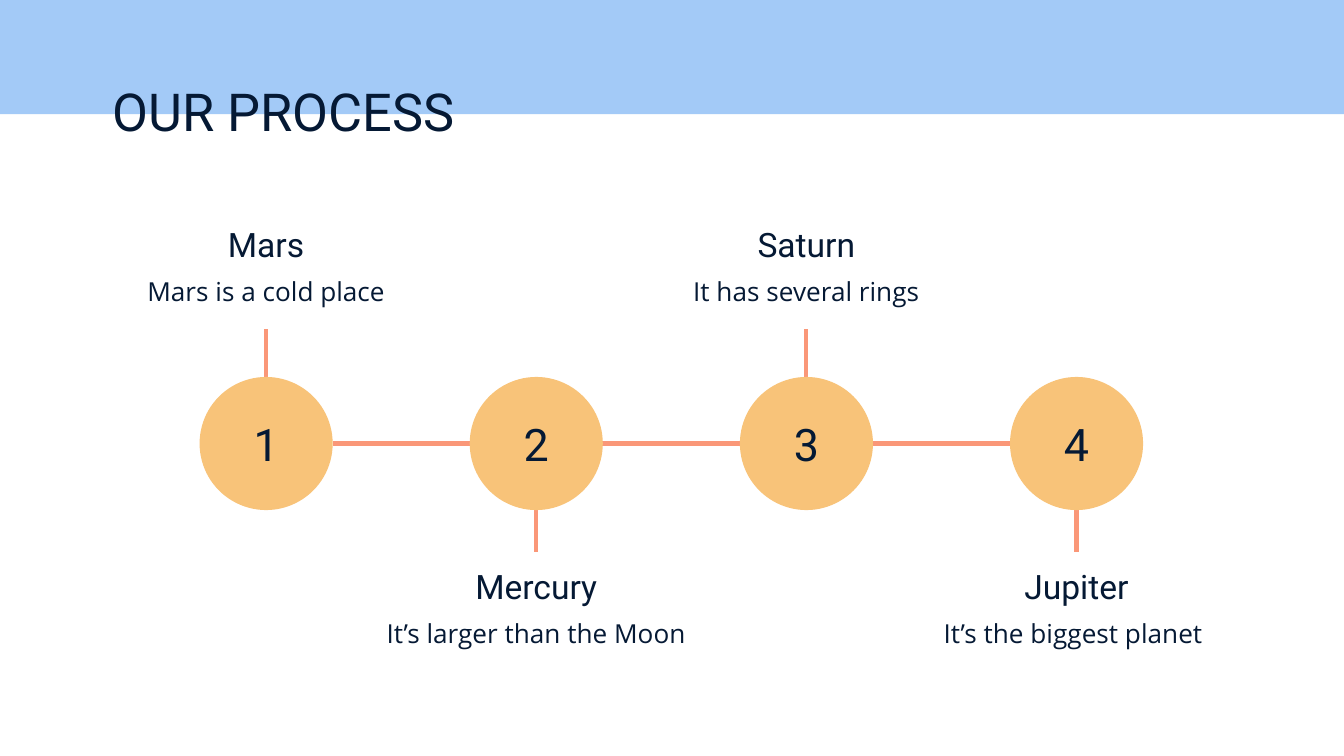
"""Build a slide with a four-step process of planets along a line."""
import dataclasses

import lxml.etree
import pptx
import pptx.dml.color
import pptx.enum.shapes
import pptx.enum.text
import pptx.oxml.ns
import pptx.util


@dataclasses.dataclass(frozen=True)
class Theme:
    ink: str = "051934"
    sky: str = "A3CAF7"
    line: str = "FA9778"
    circle: str = "F8C379"
    heading_font: str = "Roboto"
    body_font: str = "Open Sans"
    title_size: int = 28
    number_size: int = 24
    heading_size: int = 18
    body_size: int = 14
    line_width: float = 2.25


theme = Theme()
color = pptx.dml.color.RGBColor.from_string
inches = pptx.util.Inches
align = pptx.enum.text.PP_ALIGN
anchor = pptx.enum.text.MSO_ANCHOR


def write(shape, text, font, size, alignment=align.CENTER, vertical=anchor.TOP):
    frame = shape.text_frame
    frame.word_wrap = True
    frame.auto_size = pptx.enum.text.MSO_AUTO_SIZE.NONE
    frame.vertical_anchor = vertical
    frame.margin_left = frame.margin_right = inches(0.1)
    frame.margin_top = frame.margin_bottom = inches(0.1)
    frame.text = text
    para = frame.paragraphs[0]
    para.alignment = alignment
    para.font.name = font
    para.font.size = pptx.util.Pt(size)
    para.font.color.rgb = color(theme.ink)


def draw_line(page, *ends):
    line = page.shapes.add_connector(
        pptx.enum.shapes.MSO_CONNECTOR.STRAIGHT, *[inches(end) for end in ends]
    )
    line.line.color.rgb = color(theme.line)
    line.line.width = pptx.util.Pt(theme.line_width)
    properties = line.element.find(pptx.oxml.ns.qn("p:spPr"))
    lxml.etree.SubElement(properties, pptx.oxml.ns.qn("a:effectLst"))


deck = pptx.Presentation()
deck.slide_width = inches(10)
deck.slide_height = deck.slide_width * 9 // 16
page = deck.slides.add_slide(deck.slide_layouts[5])

band = page.shapes.add_shape(
    pptx.enum.shapes.MSO_SHAPE.RECTANGLE, 0, 0, deck.slide_width, inches(0.85)
)
band.shadow.inherit = False
band.fill.solid()
band.fill.fore_color.rgb = color(theme.sky)
band.line.fill.background()

title = page.shapes.title
title.left, title.top = inches(0.74), inches(0.49)
title.width, title.height = inches(7.73), inches(0.63)
write(title, "OUR PROCESS", theme.heading_font, theme.title_size, align.LEFT)
title.element.addprevious(band.element)

steps = [
    ("Mars", "Mars is a cold place"),
    ("Mercury", "It’s larger than the Moon"),
    ("Saturn", "It has several rings"),
    ("Jupiter", "It’s the biggest planet "),
]
first_center, column, middle, diameter = 1.98, 2.01, 3.3, 0.99
radius = diameter / 2
heading_width, body_width, body_drop = 1.93, 2.48, 0.38
last_center = first_center + column * (len(steps) - 1)

draw_line(page, first_center + radius, middle, last_center - radius, middle)

for index, (heading, body) in enumerate(steps):
    center = first_center + index * column
    above = index % 2 == 0
    edge = middle - radius if above else middle + radius
    stem_end, heading_top = (2.45, 1.57) if above else (4.11, 4.11)
    draw_line(page, center, edge, center, stem_end)

    circle = page.shapes.add_shape(
        pptx.enum.shapes.MSO_SHAPE.OVAL,
        inches(center - radius), inches(middle - radius),
        inches(diameter), inches(diameter),
    )
    circle.shadow.inherit = False
    circle.fill.solid()
    circle.fill.fore_color.rgb = color(theme.circle)
    circle.line.fill.background()
    write(circle, str(index + 1), theme.heading_font, theme.number_size,
          vertical=anchor.MIDDLE)

    for text, width, top, height, font, size in (
        (heading, heading_width, heading_top, 0.63,
         theme.heading_font, theme.heading_size),
        (body, body_width, heading_top + body_drop, 0.59,
         theme.body_font, theme.body_size),
    ):
        box = page.shapes.add_textbox(
            inches(center - width / 2), inches(top), inches(width), inches(height)
        )
        write(box, text, font, size)

deck.save("out.pptx")
